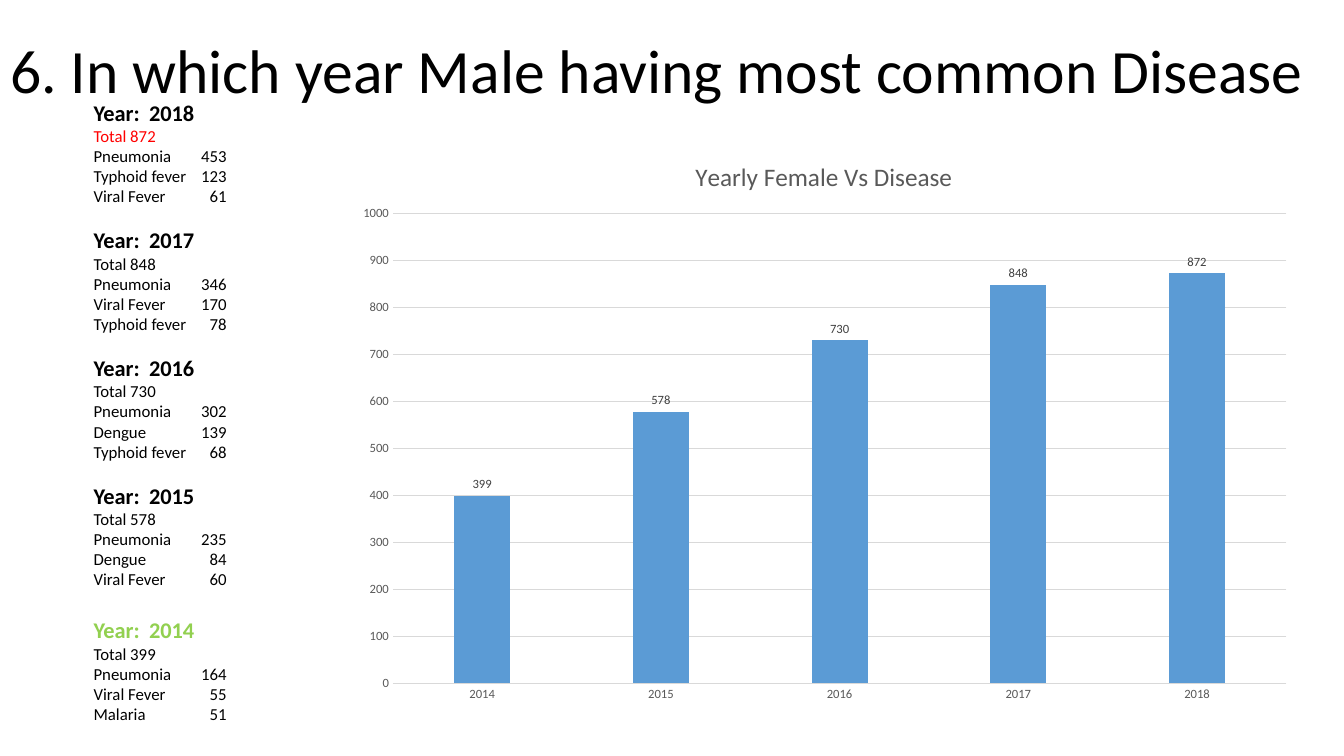
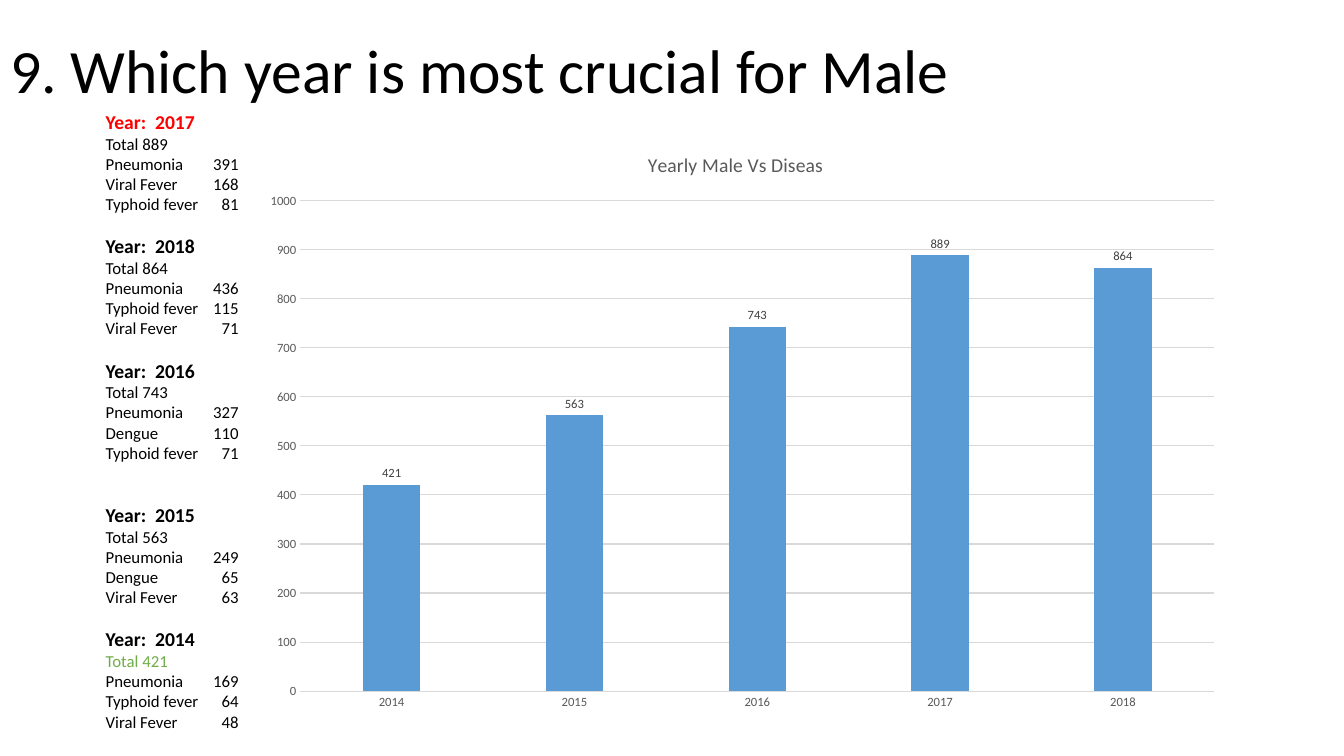
from lxml import etree
from pptx import Presentation
from pptx.chart.data import CategoryChartData
from pptx.dml.color import RGBColor
from pptx.enum.chart import XL_CHART_TYPE, XL_LABEL_POSITION, XL_TICK_MARK
from pptx.enum.text import MSO_ANCHOR, MSO_AUTO_SIZE, PP_ALIGN
from pptx.oxml.ns import qn
from pptx.util import Inches, Pt

COLUMNS = XL_CHART_TYPE.COLUMN_CLUSTERED
OUTSIDE_END = XL_LABEL_POSITION.OUTSIDE_END
NO_TICK = XL_TICK_MARK.NONE
MIDDLE = MSO_ANCHOR.MIDDLE
NO_FIT, GROW = MSO_AUTO_SIZE.NONE, MSO_AUTO_SIZE.SHAPE_TO_FIT_TEXT
LEFT = PP_ALIGN.LEFT

FONT = "Calibri"
BLACK = RGBColor(0x00, 0x00, 0x00)
RED = RGBColor(0xFF, 0x00, 0x00)
LIME = RGBColor(0x92, 0xD0, 0x50)
GREEN = RGBColor(0x70, 0xAD, 0x47)
BLUE = RGBColor(0x5B, 0x9B, 0xD5)
AXIS_GREY = RGBColor(0x59, 0x59, 0x59)
LABEL_GREY = RGBColor(0x40, 0x40, 0x40)
GRID_GREY = RGBColor(0xD9, 0xD9, 0xD9)

VALUE_TAB = 1.32  # right edge of the case counts
LINE_GAP = 14.4   # one line of 12 pt text

# Years run in the order listed: year, total, leading diseases.
# Marks give the coloured lines, gaps the space above a year in points.
QUESTIONS = [
    {
        "title": "6. In which year Male having most common Disease",
        "list_at": (0.83, 0.93, 7.79, 6.42),
        "year_size": 16, "year_tab": 0.55,
        "marks": {("total", 2018): RED, ("year", 2014): LIME},
        "gaps": {2018: 0, 2014: 19.5},
        "years": [
            (2018, 872, [("Pneumonia", 453), ("Typhoid fever", 123), ("Viral Fever", 61)]),
            (2017, 848, [("Pneumonia", 346), ("Viral Fever", 170), ("Typhoid fever", 78)]),
            (2016, 730, [("Pneumonia", 302), ("Dengue", 139), ("Typhoid fever", 68)]),
            (2015, 578, [("Pneumonia", 235), ("Dengue", 84), ("Viral Fever", 60)]),
            (2014, 399, [("Pneumonia", 164), ("Viral Fever", 55), ("Malaria", 51)]),
        ],
        "chart_at": (3.42, 1.31, 9.53, 5.76),
        "chart_title": "Yearly Female Vs Disease", "chart_title_size": 18,
        "chart_title_layout": {"x": 0.36, "y": 0.04},
        "plot_layout": {"x": 0.05, "y": 0.14, "w": 0.93, "h": 0.81},
    },
    {
        "title": "9. Which year is most crucial for Male",
        "list_at": (0.95, 1.04, 6.67, 6.33),
        "year_size": 14, "year_tab": 0.49,
        "marks": {("year", 2017): RED, ("total", 2014): GREEN},
        "gaps": {2017: 0, 2015: 2 * LINE_GAP},
        "years": [
            (2017, 889, [("Pneumonia", 391), ("Viral Fever", 168), ("Typhoid fever", 81)]),
            (2018, 864, [("Pneumonia", 436), ("Typhoid fever", 115), ("Viral Fever", 71)]),
            (2016, 743, [("Pneumonia", 327), ("Dengue", 110), ("Typhoid fever", 71)]),
            (2015, 563, [("Pneumonia", 249), ("Dengue", 65), ("Viral Fever", 63)]),
            (2014, 421, [("Pneumonia", 169), ("Typhoid fever", 64), ("Viral Fever", 48)]),
        ],
        "chart_at": (2.49, 1.29, 9.75, 5.86),
        "chart_title": "Yearly Male Vs Diseas", "chart_title_size": 14,
        "chart_title_layout": {"x": 0.40, "y": 0.03},
        "plot_layout": {"x": 0.05, "y": 0.12, "w": 0.93, "h": 0.83},
    },
]


def write(frame, text, size=12, color=BLACK, bold=False, before=0, tab=None, tab_align="l"):
    """Write text in the frame's empty first paragraph, or in a new one."""
    first = frame.paragraphs[0]
    paragraph = frame.add_paragraph() if first.runs else first
    paragraph.alignment = LEFT
    paragraph.space_before = Pt(before)
    run = paragraph.add_run()
    run.text = text
    run.font.name, run.font.size, run.font.bold = FONT, Pt(size), bold
    run.font.color.rgb = color
    if tab:
        stops = etree.SubElement(paragraph._p.get_or_add_pPr(), qn("a:tabLst"))
        etree.SubElement(stops, qn("a:tab"), pos=str(Inches(tab)), algn=tab_align)
    return paragraph


def set_layout(parent, index, fractions, inner=False):
    """Fix the place of a chart part, in fractions of the chart."""
    for old in parent.findall(qn("c:layout")):
        parent.remove(old)
    layout = etree.Element(qn("c:layout"))
    manual = etree.SubElement(layout, qn("c:manualLayout"))
    if inner:
        etree.SubElement(manual, qn("c:layoutTarget"), val="inner")
    for key in "xy":
        etree.SubElement(manual, qn(f"c:{key}Mode"), val="edge")
    for key, fraction in fractions.items():
        etree.SubElement(manual, qn(f"c:{key}"), val=str(fraction))
    parent.insert(index, layout)


prs = Presentation()
prs.slide_width, prs.slide_height = Inches(13.33), Inches(7.5)

# Title place shared by both slides
title_only = prs.slide_layouts[5]
layout_title = title_only.placeholders[0]
layout_title.left, layout_title.top = Inches(0), Inches(0)
layout_title.width, layout_title.height = Inches(13.57), Inches(1.45)

for question in QUESTIONS:
    slide = prs.slides.add_slide(title_only)

    # Question
    heading = slide.shapes.title.text_frame
    heading.auto_size, heading.vertical_anchor = NO_FIT, MIDDLE
    write(heading, question["title"], size=44).line_spacing = 0.9

    # Totals by year
    totals = CategoryChartData()
    ascending = sorted(question["years"])
    totals.categories = [str(year) for year, total, cases in ascending]
    totals.add_series("Series 1", [total for year, total, cases in ascending])
    place = [Inches(length) for length in question["chart_at"]]
    chart = slide.shapes.add_chart(COLUMNS, *place, totals).chart
    chart.has_legend = False
    chart.font.name, chart.font.size = FONT, Pt(10)
    chart.font.color.rgb = BLACK

    chart.has_title = True
    write(chart.chart_title.text_frame, question["chart_title"],
          size=question["chart_title_size"], color=AXIS_GREY).alignment = None
    set_layout(chart.chart_title.element, 1, question["chart_title_layout"])
    plot_area = chart.element.find(".//" + qn("c:plotArea"))
    set_layout(plot_area, 0, question["plot_layout"], inner=True)

    # Columns and their labels
    plot = chart.plots[0]
    plot.gap_width, plot.overlap, plot.vary_by_categories = 219, -27, False
    columns = plot.series[0].format.fill
    columns.solid()
    columns.fore_color.rgb = BLUE
    plot.has_data_labels = True
    labels = plot.data_labels
    labels.show_value, labels.position = True, OUTSIDE_END
    labels.font.name, labels.font.size = FONT, Pt(9)
    labels.font.color.rgb = LABEL_GREY

    # Axes and gridlines
    year_axis, case_axis = chart.category_axis, chart.value_axis
    for axis in (year_axis, case_axis):
        axis.major_tick_mark = axis.minor_tick_mark = NO_TICK
        axis.tick_labels.font.name, axis.tick_labels.font.size = FONT, Pt(9)
        axis.tick_labels.font.color.rgb = AXIS_GREY
    case_axis.minimum_scale, case_axis.maximum_scale = 0, 1000
    case_axis.major_unit = 100
    case_axis.format.line.fill.background()
    for line in (year_axis.format.line, case_axis.major_gridlines.format.line):
        line.color.rgb, line.width = GRID_GREY, Pt(0.75)

    # Leading diseases of each year
    place = [Inches(length) for length in question["list_at"]]
    case_list = slide.shapes.add_textbox(*place).text_frame
    case_list.word_wrap, case_list.auto_size = True, GROW
    marks = question["marks"]
    for year, total, cases in question["years"]:
        write(case_list, f"Year:\t{year}", size=question["year_size"], bold=True,
              color=marks.get(("year", year), BLACK), tab=question["year_tab"],
              before=question["gaps"].get(year, LINE_GAP))
        write(case_list, f"Total {total}", color=marks.get(("total", year), BLACK))
        for disease, count in cases:
            write(case_list, f"{disease}\t{count}", tab=VALUE_TAB, tab_align="r")

prs.save("out.pptx")
